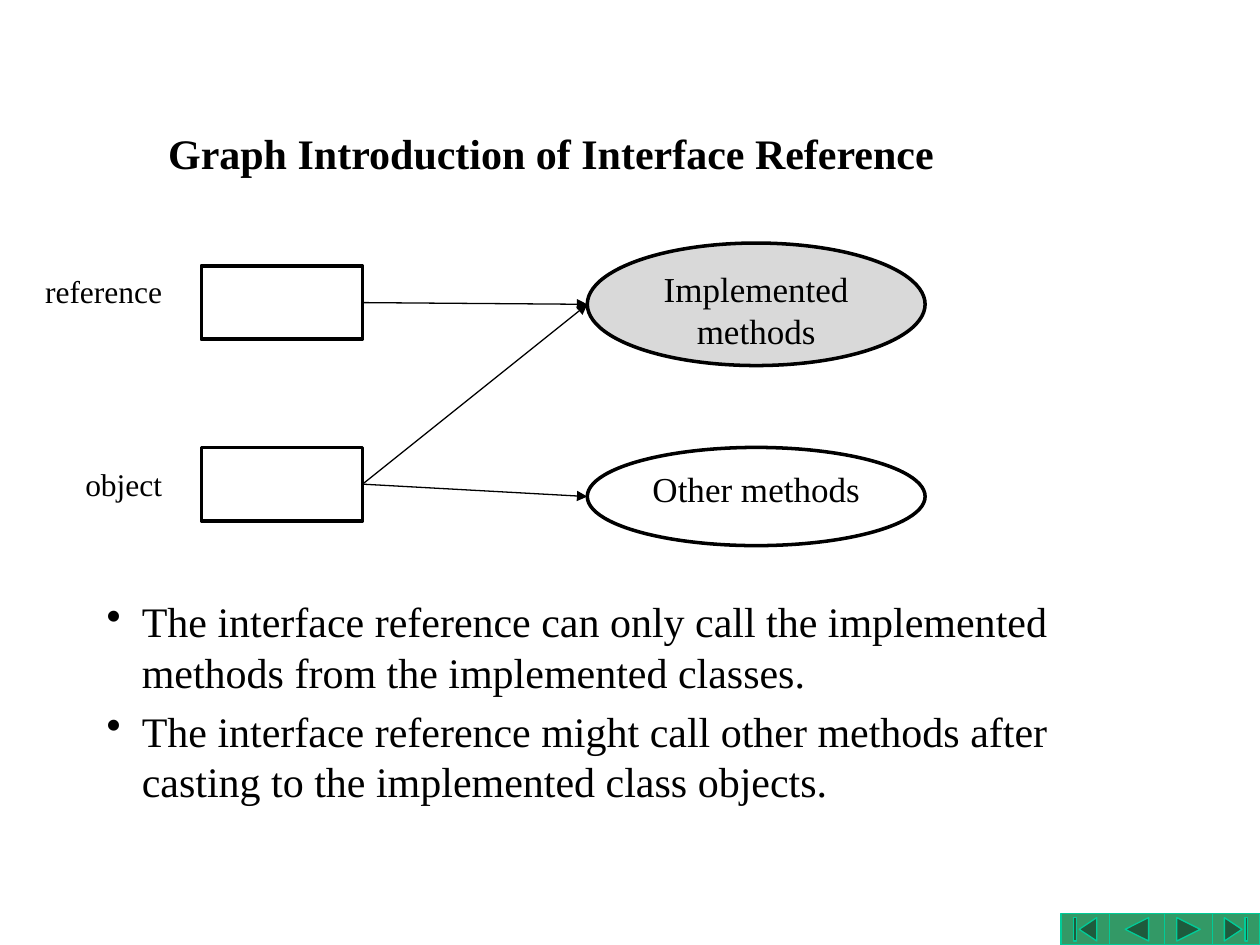
from typing import NamedTuple

from lxml import etree
from pptx import Presentation
from pptx.dml.color import RGBColor
from pptx.enum import shapes, text
from pptx.oxml import ns
from pptx.util import Cm, Pt

FONT = "Times New Roman"
HUES = {
    "ink": "000000",
    "paper": "FFFFFF",
    "shade": "D9D9D9",
    "green": "339966",
    "mint": "00CC99",
}
KIND = shapes.MSO_SHAPE
ALIGN = text.PP_ALIGN
ANCHOR = text.MSO_ANCHOR


class Box(NamedTuple):
    left: float
    top: float
    width: float
    height: float


class Node(NamedTuple):
    kind: int
    box: Box
    fill: str = "paper"
    words: str = ""
    edge: str = "ink"
    weight: float = 2


class Label(NamedTuple):
    box: Box
    lines: list[str]
    size: int
    bold: bool = False
    align: int = ALIGN.LEFT
    anchor: int = ANCHOR.TOP
    bullet: bool = False


NODES = {
    "reference": Node(KIND.RECTANGLE, Box(4.06, 5.36, 3.25, 1.48)),
    "object": Node(KIND.RECTANGLE, Box(4.06, 9.02, 3.25, 1.48)),
    "implemented": Node(KIND.OVAL, Box(11.84, 4.9, 6.81, 2.47), "shade",
                        "Implemented methods"),
    "other": Node(KIND.OVAL, Box(11.84, 9.02, 6.81, 1.98), "paper",
                  "Other methods"),
}
LINKS = [("reference", "implemented"), ("object", "implemented"), ("object", "other")]
LABELS = [
    Label(Box(1.9, 2.12, 18.42, 1.9),
          ["Graph Introduction of Interface Reference"],
          24, True, ALIGN.CENTER, ANCHOR.MIDDLE),
    Label(Box(1.9, 11.89, 21.6, 5.87), [
        "The interface reference can only call the implemented methods "
        "from the implemented classes.",
        "The interface reference might call other methods after casting "
        "to the implemented class objects.",
    ], 24, bullet=True),
    Label(Box(0.66, 5.36, 3.25, 1.02), ["reference"], 18),
    Label(Box(1.47, 9.25, 2.39, 1.02), ["object"], 18),
]
KEYS = [
    (KIND.ACTION_BUTTON_BEGINNING, 0.97),
    (KIND.ACTION_BUTTON_BACK_OR_PREVIOUS, 1.12),
    (KIND.ACTION_BUTTON_FORWARD_OR_NEXT, 0.96),
    (KIND.ACTION_BUTTON_END, 0.96),
]


def hue(name: str) -> RGBColor:
    return RGBColor.from_string(HUES[name])


def style(para, size: int, align: int, bold: bool = False) -> None:
    para.alignment = align
    font = para.font
    font.name, font.size, font.bold = FONT, Pt(size), bold
    font.color.rgb = hue("ink")


def mark(para) -> None:
    para.space_before = Pt(4.8)
    props = para._p.get_or_add_pPr()
    props.set("marL", str(Cm(0.71)))
    props.set("indent", str(-Cm(0.71)))
    dot = etree.Element(ns.qn("a:buChar"), char="•")
    props.insert_element_before(dot, "a:tabLst", "a:defRPr", "a:extLst")


def draw_node(slide, node: Node):
    shape = slide.shapes.add_shape(node.kind, *map(Cm, node.box))
    shape.shadow.inherit = False
    shape.fill.solid()
    shape.fill.fore_color.rgb = hue(node.fill)
    shape.line.color.rgb = hue(node.edge)
    shape.line.width = Pt(node.weight)
    if node.words:
        frame = shape.text_frame
        frame.vertical_anchor = ANCHOR.TOP
        frame.text = node.words
        style(frame.paragraphs[0], 20, ALIGN.CENTER)
    return shape


def draw_label(slide, label: Label) -> None:
    frame = slide.shapes.add_textbox(*map(Cm, label.box)).text_frame
    frame.word_wrap = True
    frame.vertical_anchor = label.anchor
    frame.text = "\n".join(label.lines)
    for para in frame.paragraphs:
        style(para, label.size, label.align, label.bold)
        if label.bullet:
            mark(para)


def draw_link(slide, start, end) -> None:
    line = slide.shapes.add_connector(
        shapes.MSO_CONNECTOR.STRAIGHT,
        start.left + start.width, start.top + start.height // 2,
        end.left, end.top + end.height // 2)
    line.begin_connect(start, 3)
    line.line.color.rgb = hue("ink")
    line.line.width = Pt(0.75)
    etree.SubElement(line.line._get_or_add_ln(), ns.qn("a:tailEnd"), type="triangle")
    etree.SubElement(line._element.spPr, ns.qn("a:effectLst"))


def draw_keys(slide) -> None:
    left = 25.4 - sum(width for _, width in KEYS)
    for kind, width in KEYS:
        box = Box(left, 18.42, width, 0.63)
        draw_node(slide, Node(kind, box, "green", edge="mint", weight=0.75))
        left += width


def main() -> None:
    deck = Presentation()
    deck.slide_width, deck.slide_height = Cm(25.4), Cm(19.05)
    slide = deck.slides.add_slide(deck.slide_layouts[6])
    draw_keys(slide)
    drawn = {name: draw_node(slide, node) for name, node in NODES.items()}
    for start, end in LINKS:
        draw_link(slide, drawn[start], drawn[end])
    for label in LABELS:
        draw_label(slide, label)
    deck.save("out.pptx")


if __name__ == "__main__":
    main()
